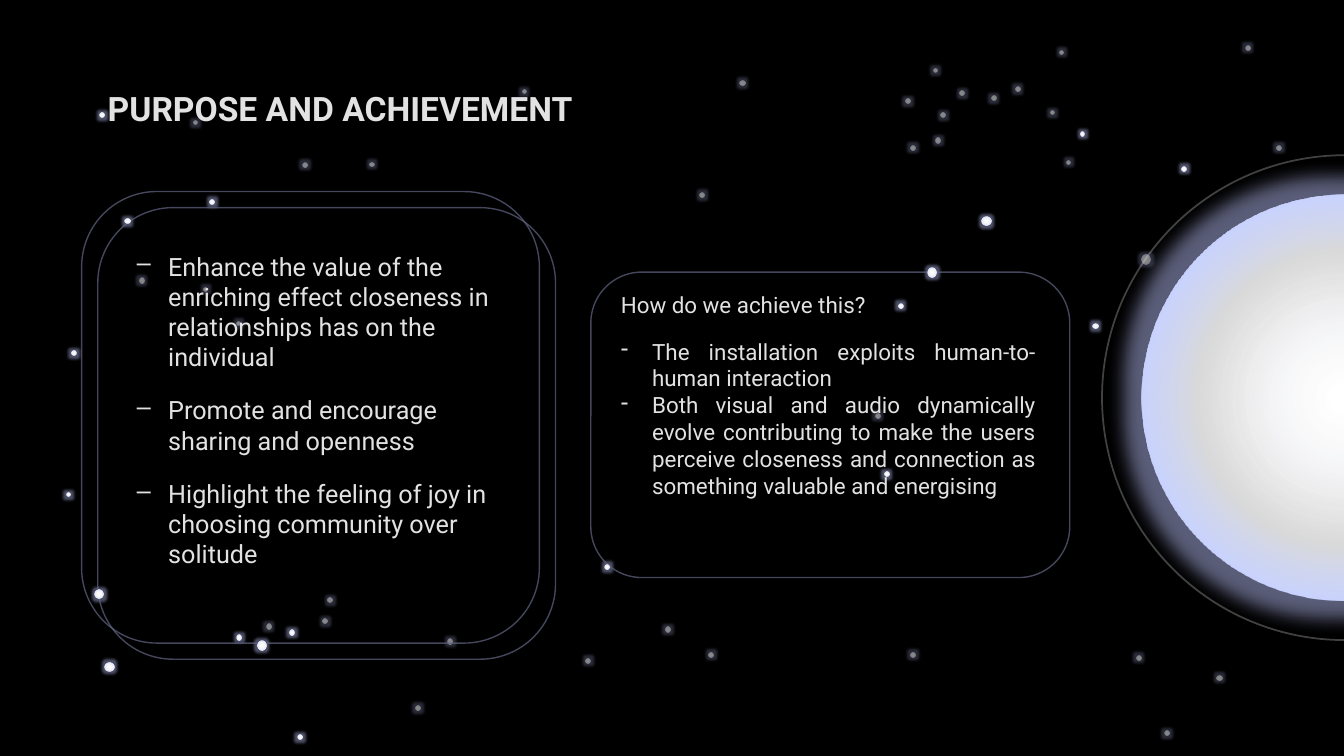
import lxml.etree
import pptx
import pptx.dml.color
import pptx.enum.shapes
import pptx.enum.text
import pptx.oxml
import pptx.oxml.ns
import pptx.util

PX = 9144
WIDTH, HEIGHT = 1333, 750
FONT = "Roboto"
BLACK, TEXT, OUTLINE, HALO = "000000", "E2E2E2", "626582", "626582"
SHAPE = pptx.enum.shapes.MSO_SHAPE
STAR_STOPS = [(4, "FFFFFF", 100), (44, "FFFFFF", 93), (73, "D5DCFE", 100), (100, "D9D9D9", 100)]
PLANET_STOPS = [(4, "FFFFFF", 100), (26, "FFFFFF", 93), (51, "D9D9D9", 100),
                (60, "D1D6EC", 100), (71, "C8D2FE", 100)]

FAINT_STARS = {
    4: [(192, 120), (235, 319), (367, 161), (202, 285), (1058, 159), (1051, 50),
        (926, 68), (518, 89), (1042, 110)],
    5: [(264, 619), (320, 614), (703, 647), (734, 80), (1155, 725), (412, 700),
        (660, 622), (581, 653), (444, 634), (300, 161), (903, 647), (694, 191),
        (138, 276), (898, 98), (1235, 45), (1266, 144), (933, 112), (1127, 650),
        (983, 95), (868, 410), (1007, 86), (1207, 670), (903, 144), (928, 137),
        (325, 593), (952, 90)],
    9: [(1132, 253)],
}
BRIGHT_STARS = {
    4: [(66, 489), (1072, 131)],
    5: [(71, 348), (877, 468), (891, 301), (1084, 321), (1172, 165), (295, 729), (99, 112)],
}
FRONT_STARS = {
    5: [(235, 630), (208, 198), (600, 560), (124, 217), (287, 625)],
    9: [(974, 215), (104, 657), (920, 266), (255, 636), (94, 585)],
}


def colour(value):
    return pptx.dml.color.RGBColor.from_string(value)


def set_alpha(color_format_parent, percent):
    for node in color_format_parent.iter(pptx.oxml.ns.qn("a:srgbClr")):
        alpha = lxml.etree.SubElement(node, pptx.oxml.ns.qn("a:alpha"))
        alpha.set("val", str(percent * 1000))


def add_shape(slide, kind, box, line=None, line_width=1, line_alpha=100):
    shape = slide.shapes.add_shape(kind, *(value * PX for value in box))
    shape.shadow.inherit = False
    shape.fill.background()
    if line:
        shape.line.color.rgb = colour(line)
        shape.line.width = pptx.util.Pt(line_width)
        set_alpha(shape.line._ln, line_alpha)
    else:
        shape.line.fill.background()
    return shape


def add_glowing_disc(slide, box, stops, glow_points, glow_alpha):
    disc = add_shape(slide, SHAPE.OVAL, box)
    properties = disc._element.spPr
    namespace = pptx.oxml.ns.nsdecls("a")
    stop_xml = "".join(
        f'<a:gs pos="{position * 1000}"><a:srgbClr val="{value}">'
        f'<a:alpha val="{alpha * 1000}"/></a:srgbClr></a:gs>'
        for position, value, alpha in stops)
    gradient = pptx.oxml.parse_xml(
        f'<a:gradFill {namespace}><a:gsLst>{stop_xml}</a:gsLst><a:path path="circle">'
        '<a:fillToRect l="50000" t="50000" r="50000" b="50000"/></a:path></a:gradFill>')
    properties.replace(properties.find(pptx.oxml.ns.qn("a:noFill")), gradient)
    glow = pptx.oxml.parse_xml(
        f'<a:glow {namespace} rad="{glow_points * 12700}"><a:srgbClr val="{HALO}">'
        f'<a:alpha val="{glow_alpha * 1000}"/></a:srgbClr></a:glow>')
    properties.find(pptx.oxml.ns.qn("a:effectLst")).append(glow)


def add_stars(slide, box, stars):
    for size, places in stars.items():
        for left, top in places:
            add_glowing_disc(slide, (box[0] + left, box[1] + top, size, size), STAR_STOPS, 4, 80)


def add_veil(slide, box):
    veil = add_shape(slide, SHAPE.RECTANGLE, box)
    veil.fill.solid()
    veil.fill.fore_color.rgb = colour(BLACK)
    set_alpha(veil._element.spPr, 45)


def add_planet(slide, box):
    left, top, width, height = box
    ring = 39
    add_glowing_disc(slide, (left + ring, top + ring, width - 2 * ring, height - 2 * ring),
                     PLANET_STOPS, 25, 92)
    add_shape(slide, SHAPE.OVAL, box, "D9D9D9", 1.25, 29)


def add_text(slide, box, paragraphs, size, bold=False, wrap=True, align=None):
    text_box = slide.shapes.add_textbox(*(value * PX for value in box))
    frame = text_box.text_frame
    frame.word_wrap = wrap
    for index, (bullet, gap, text) in enumerate(paragraphs):
        paragraph = frame.paragraphs[0] if index == 0 else frame.add_paragraph()
        paragraph.alignment = align
        paragraph.space_before = pptx.util.Pt(gap)
        run = paragraph.add_run()
        run.text = text
        run.font.name = FONT
        run.font.size = pptx.util.Pt(size)
        run.font.bold = bold
        run.font.color.rgb = colour(TEXT)
        if bullet:
            properties = paragraph._p.get_or_add_pPr()
            properties.set("marL", str(31 * PX))
            properties.set("indent", str(-31 * PX))
            mark = lxml.etree.SubElement(properties, pptx.oxml.ns.qn("a:buChar"))
            mark.set("char", bullet)


def add_title(slide, box):
    add_text(slide, box, [(None, 0, "PURPOSE AND ACHIEVEMENT")], 24, bold=True, wrap=False)


def add_purpose_panel(slide, box):
    left, top, width, height = box
    shift = 16
    add_text(slide, (left + 45, top + 54, 378, 374), [
        ("–", 0, "Enhance the value of the enriching effect closeness in relationships has on the individual"),
        ("–", 16.4, "Promote and encourage sharing and openness"),
        ("–", 16.4, "Highlight the feeling of joy in choosing community over solitude"),
    ], 18)
    for offset in (0, shift):
        add_shape(slide, SHAPE.ROUNDED_RECTANGLE,
                  (left + offset, top + offset, width - shift, height - shift), OUTLINE, 1, 71)


def add_achievement_panel(slide, box):
    left, top, width, height = box
    add_text(slide, (left + 20, top + 14, 431, 279), [
        (None, 0, "How do we achieve this?"),
        ("-", 14, "The installation exploits human-to-human interaction"),
        ("-", 0, "Both visual and audio dynamically evolve contributing to make the users "
                 "perceive closeness and connection as something valuable and energising"),
    ], 16, align=pptx.enum.text.PP_ALIGN.JUSTIFY)
    add_shape(slide, SHAPE.ROUNDED_RECTANGLE, box, OUTLINE, 1, 71)


def main():
    presentation = pptx.Presentation()
    presentation.slide_width = WIDTH * PX
    presentation.slide_height = HEIGHT * PX
    slide = presentation.slides.add_slide(presentation.slide_layouts[6])
    slide.background.fill.solid()
    slide.background.fill.fore_color.rgb = colour(BLACK)
    sky = (0, 0, WIDTH, HEIGHT)
    add_stars(slide, sky, FAINT_STARS)
    add_veil(slide, sky)
    add_stars(slide, sky, BRIGHT_STARS)
    add_planet(slide, (1093, 154, 481, 481))
    add_purpose_panel(slide, (81, 190, 470, 464))
    add_achievement_panel(slide, (586, 270, 475, 303))
    add_stars(slide, sky, FRONT_STARS)
    add_title(slide, (97, 82, 553, 50))
    presentation.save("out.pptx")


if __name__ == "__main__":
    main()
